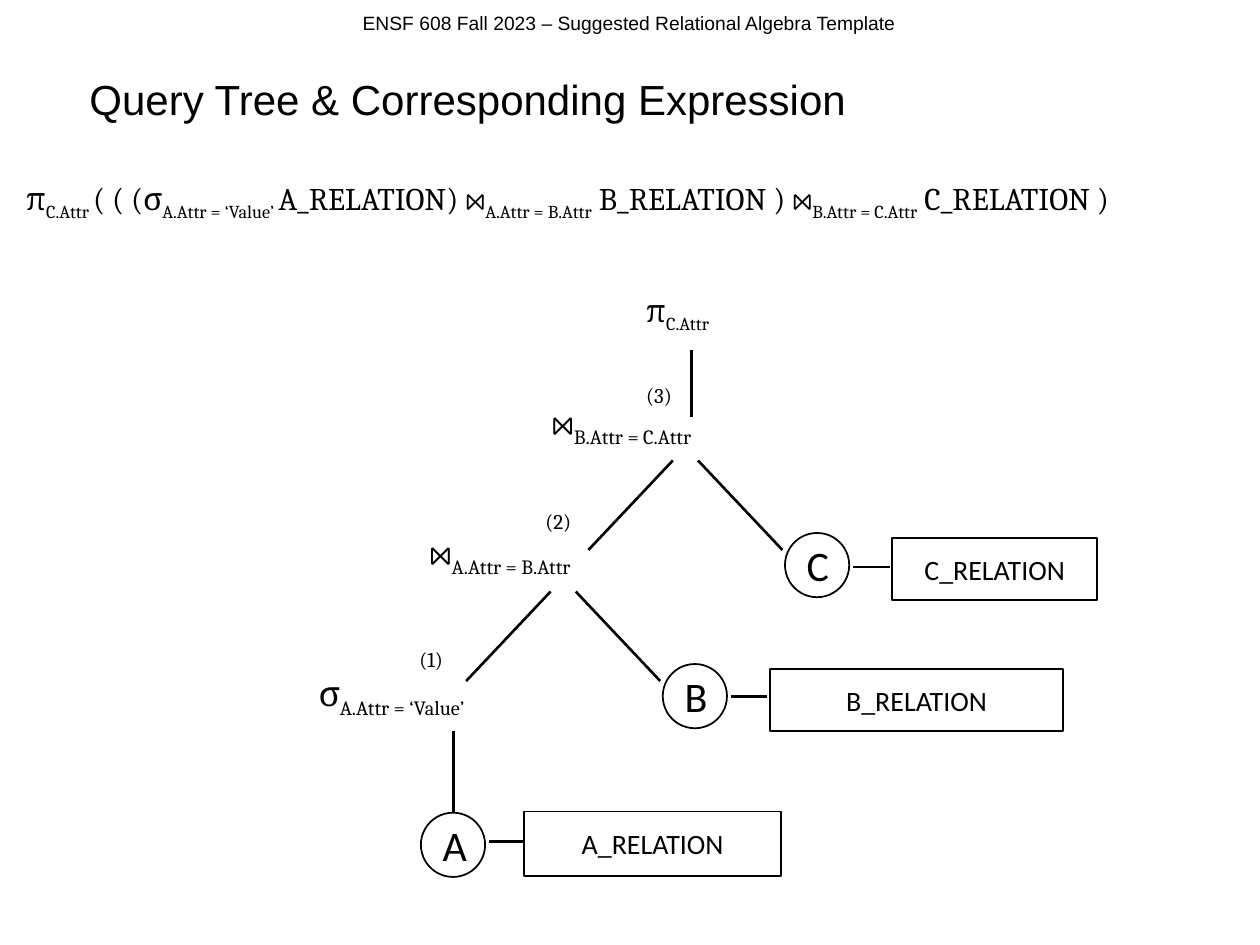
from lxml.etree import SubElement
from pptx import Presentation
from pptx.dml.color import RGBColor
from pptx.enum.shapes import MSO_CONNECTOR, MSO_SHAPE
from pptx.enum.text import MSO_ANCHOR, PP_ALIGN
from pptx.oxml.ns import qn
from pptx.util import Inches, Pt

SLIDE_WIDTH, SLIDE_HEIGHT = Inches(10), Inches(7.5)
COLUMN, ROW = SLIDE_WIDTH / 100, SLIDE_HEIGHT / 75
COLORS = {"ink": "000000", "paper": "FFFFFF"}
JOIN, PROJECT, SELECT = "\u22c8", "\u03c0", "\u03c3"
VALUE_TEST = "A.Attr = \u2018Value\u2019"
NODE_SIZE = 5.1


def color(name):
    """Return a named colour."""
    return RGBColor.from_string(COLORS[name])


def grid(left, top, width, height):
    """Turn columns and rows into a position and size."""
    return (round(left * COLUMN), round(top * ROW),
            round(width * COLUMN), round(height * ROW))


def write(shape, runs, size, font, align=PP_ALIGN.LEFT, anchor=MSO_ANCHOR.TOP):
    """Write runs into a shape, every second one as a subscript."""
    frame = shape.text_frame
    frame.word_wrap = True
    frame.vertical_anchor = anchor
    paragraph = frame.paragraphs[0]
    paragraph.alignment = align
    for index, text in enumerate(runs):
        run = paragraph.add_run()
        run.text = text
        run.font.size = Pt(size)
        run.font.name = font
        run.font.color.rgb = color("ink")
        if index % 2:
            run._r.get_or_add_rPr().set("baseline", "-25000")


def add_title(slide, text, left, top, width, height):
    """Place and fill the title placeholder."""
    title = slide.shapes.title
    title.left, title.top, title.width, title.height = grid(left, top, width, height)
    write(title, [text], 24, "Arial", anchor=MSO_ANCHOR.MIDDLE)


def add_text(slide, place, runs, size, font="Cambria", align=PP_ALIGN.LEFT):
    """Add a text box."""
    write(slide.shapes.add_textbox(*grid(*place)), runs, size, font, align)


def add_line(slide, start, end):
    """Add a straight tree edge."""
    line = slide.shapes.add_connector(
        MSO_CONNECTOR.STRAIGHT, *grid(*start, *end))
    line.line.color.rgb = color("ink")
    line.line.width = Pt(1.5)
    SubElement(line._element.spPr, qn("a:effectLst"))


def add_outlined(slide, kind, place, text, size):
    """Add an outlined shape with centred text."""
    shape = slide.shapes.add_shape(kind, *grid(*place))
    shape.shadow.inherit = False
    shape.fill.solid()
    shape.fill.fore_color.rgb = color("paper")
    shape.line.color.rgb = color("ink")
    shape.line.width = Pt(1)
    write(shape, [text], size, "Calibri", PP_ALIGN.CENTER, MSO_ANCHOR.MIDDLE)


def add_relation(slide, letter, left, top, box, link_row):
    """Add a lettered node linked to its relation box."""
    add_outlined(slide, MSO_SHAPE.OVAL, (left, top, NODE_SIZE, NODE_SIZE), letter, 24)
    add_outlined(slide, MSO_SHAPE.RECTANGLE, box, f"{letter}_RELATION", 16)
    add_line(slide, (left + 5.4, link_row), (min(left + 8.3, box[0]), link_row))


def add_fork(slide, center, top):
    """Add the two edges below a join."""
    for side in (-1, 1):
        add_line(slide, (center + side, top), (center + side * 7.7, top + 7.1))


def main():
    """Build the query tree slide."""
    presentation = Presentation()
    presentation.slide_width, presentation.slide_height = SLIDE_WIDTH, SLIDE_HEIGHT
    slide = presentation.slides.add_slide(presentation.slide_layouts[5])

    add_title(slide, "Query Tree & Corresponding Expression", 6.1, 5.3, 90.3, 5)
    add_text(slide, (24.3, 0.4, 51.3, 2.9),
             ["ENSF 608 Fall 2023 \u2013 Suggested Relational Algebra Template"],
             11, "Arial", PP_ALIGN.CENTER)
    add_text(slide, (1.1, 13.7, 99.8, 4),
             [PROJECT, "C.Attr ", f"( ( ({SELECT}", f"{VALUE_TEST} ",
              f"A_RELATION) {JOIN}", "A.Attr = B.Attr",
              f" B_RELATION ) {JOIN}", "B.Attr = C.Attr", " C_RELATION )"], 18)

    add_text(slide, (50.3, 22.6, 11.9, 4), [PROJECT, "C.Attr"], 18)
    for left, top, width, symbol, condition in (
            (42.8, 31.3, 35.1, JOIN, "B.Attr = C.Attr"),
            (33.1, 41.6, 41.8, JOIN, "A.Attr = B.Attr"),
            (24.3, 52.8, 32.4, SELECT, VALUE_TEST)):
        add_text(slide, (left, top, width, 4.4), [symbol, condition], 20)
    for step, left, top in ((1, 32.3, 50.8), (2, 42.3, 39.9), (3, 50.3, 29.9)):
        add_text(slide, (left, top, 6.3, 3), [f"({step})"], 12)

    add_line(slide, (54.9, 27.8), (54.9, 33.1))
    add_line(slide, (36, 58), (36, 64.6))
    for center, top in ((54.4, 36.55), (44.7, 46.95)):
        add_fork(slide, center, top)

    add_relation(slide, "A", 33.4, 64.5, (41.6, 64.4, 20.4, 5.1), 66.8)
    add_relation(slide, "B", 52.6, 52.7, (61.1, 53.1, 23.3, 4.9), 55.3)
    add_relation(slide, "C", 62.3, 42.3, (70.8, 42.7, 16.3, 4.9), 45)
    presentation.save("out.pptx")


main()
